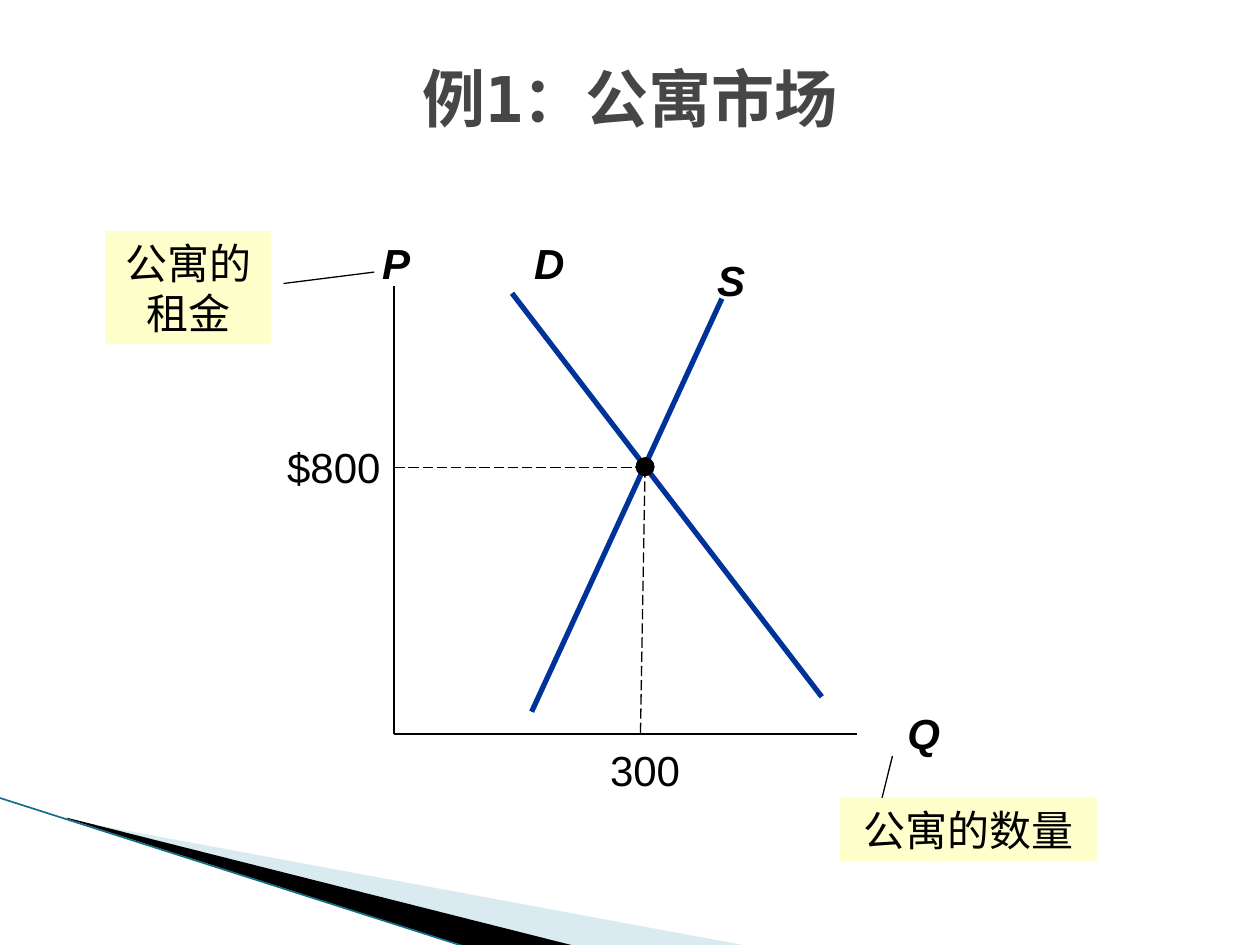
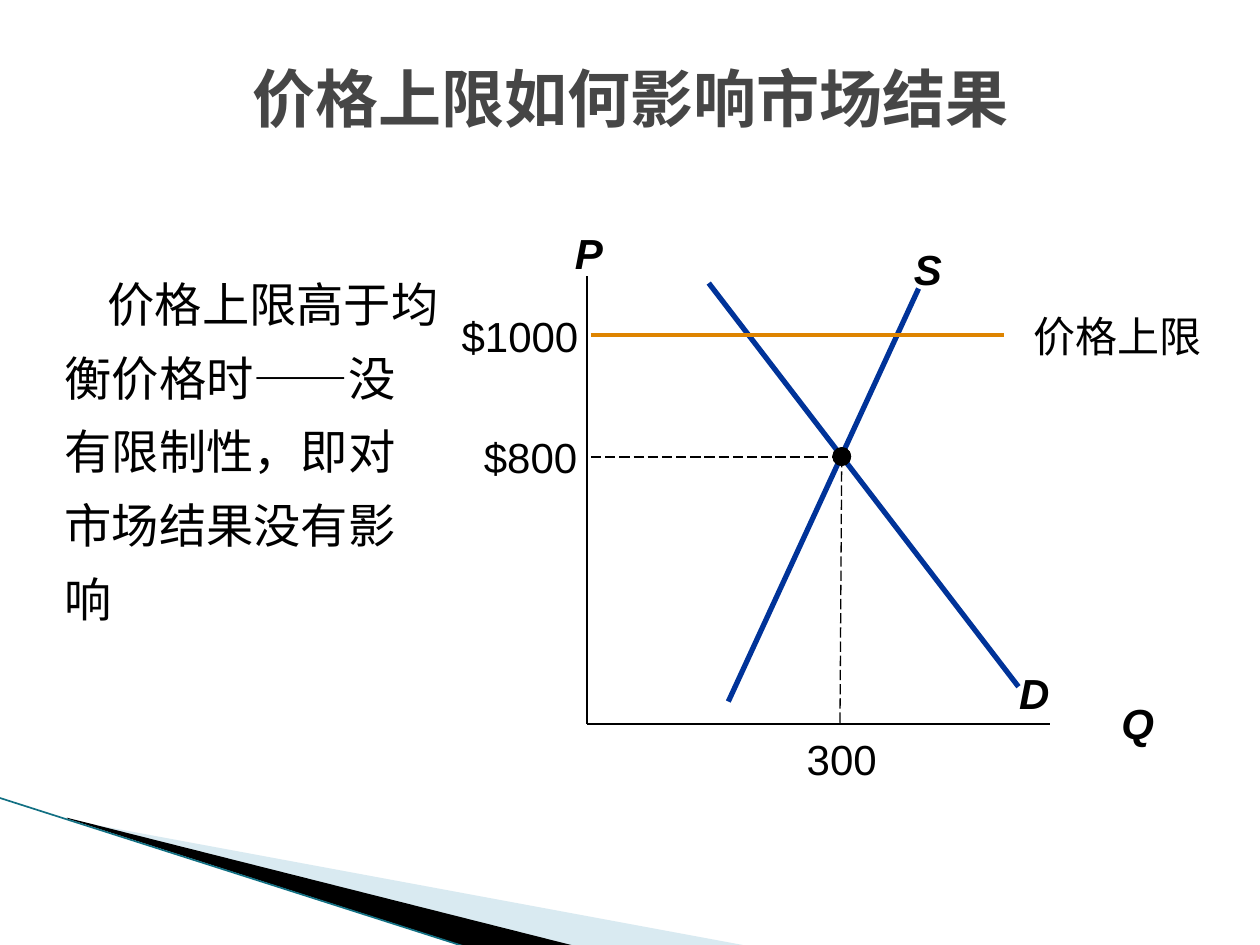
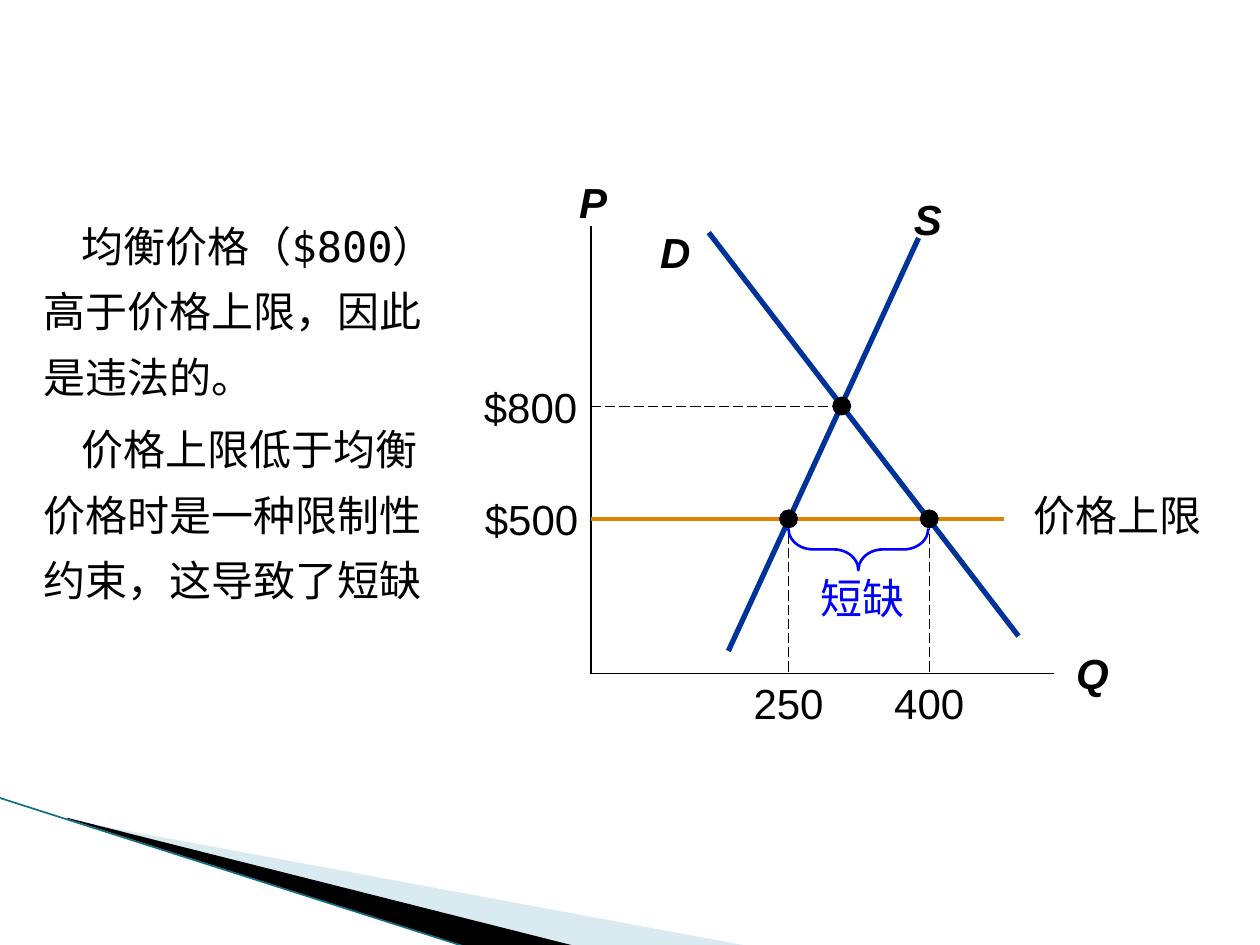
from dataclasses import dataclass

from lxml import etree
from pptx import Presentation
from pptx.dml.color import RGBColor
from pptx.enum import dml, lang, shapes, text
from pptx.oxml import ns
from pptx.util import Pt

# Shared look
BLACK = RGBColor(0x00, 0x00, 0x00)
TITLE_GREY = RGBColor(0x46, 0x46, 0x46)
CURVE_BLUE = RGBColor(0x00, 0x33, 0x99)
CEILING_ORANGE = RGBColor(0xDE, 0x84, 0x00)
SHORTAGE_BLUE = RGBColor(0x00, 0x00, 0xFF)
NOTE_YELLOW = RGBColor(0xFF, 0xFF, 0xCC)
BAND_BLUE = RGBColor(0xA0, 0xCB, 0xDC)
BAND_EDGE = RGBColor(0x12, 0x70, 0x83)
LABEL_FONT = "Arial"
TEXT_FONT = "DejaVu Sans Mono"

LEFT, CENTER, RIGHT = text.PP_ALIGN.LEFT, text.PP_ALIGN.CENTER, text.PP_ALIGN.RIGHT
TOP, MIDDLE = text.MSO_ANCHOR.TOP, text.MSO_ANCHOR.MIDDLE
DOT = 10.8
NUMBER_HEIGHT = 28.8
SYMBOL_HEIGHT = 36


@dataclass(frozen=True)
class Point:
    x: float
    y: float

    def shift(self, dx: float, dy: float) -> "Point":
        return Point(self.x + dx, self.y + dy)


@dataclass(frozen=True)
class Box:
    left: float
    top: float
    width: float
    height: float

    def lengths(self) -> tuple:
        return Pt(self.left), Pt(self.top), Pt(self.width), Pt(self.height)


@dataclass(frozen=True)
class Market:
    """A supply and demand diagram, laid out around its equilibrium."""
    equilibrium: Point
    axis_x: float
    quantity_gap: float
    demand_label: Point

    @property
    def origin(self) -> Point:
        return Point(self.axis_x, self.equilibrium.y + 152.6)

    @property
    def price_start(self) -> float:
        return self.equilibrium.x - 143.3


# Text
def write(frame, content: str, *, size: float = 24, font: str = LABEL_FONT,
          color: RGBColor = BLACK, bold: bool = False, italic: bool = False,
          align=CENTER, anchor=TOP, inset: bool = True, indent: float = 0,
          before: float = 0, spacing: float = 1.0) -> None:
    """Fill a text frame, one paragraph for each line of content."""
    frame.word_wrap = True
    frame.auto_size = text.MSO_AUTO_SIZE.NONE
    frame.vertical_anchor = anchor
    frame.margin_left = frame.margin_right = Pt(7.2 if inset else 0)
    frame.margin_top = frame.margin_bottom = Pt(3.6 if inset else 0)
    for number, line_text in enumerate(content.split("\n")):
        paragraph = frame.add_paragraph() if number else frame.paragraphs[0]
        paragraph.alignment = align
        paragraph.space_before = Pt(before)
        paragraph.line_spacing = spacing
        properties = paragraph._p.get_or_add_pPr()
        properties.set("marL", "0")
        properties.set("indent", str(int(Pt(indent))))
        etree.SubElement(properties, ns.qn("a:buNone"))
        run = paragraph.add_run()
        run.text = line_text
        run.font.name, run.font.size = font, Pt(size)
        run.font.bold, run.font.italic = bold, italic
        run.font.color.rgb = color
        run.font.language_id = lang.MSO_LANGUAGE_ID.SIMPLIFIED_CHINESE


def place(shape, box: Box) -> None:
    shape.left, shape.top, shape.width, shape.height = box.lengths()


def label(slide, content: str, box: Box, **style) -> None:
    write(slide.shapes.add_textbox(*box.lengths()).text_frame, content, **style)


def symbol(slide, letter: str, corner: Point, width: float) -> None:
    label(slide, letter, Box(corner.x, corner.y, width, SYMBOL_HEIGHT), bold=True, italic=True)


def title(slide, content: str) -> None:
    place(slide.shapes.title, Box(0, 30, 720, 51))
    write(slide.shapes.title.text_frame, content, size=36, font=TEXT_FONT,
          color=TITLE_GREY, bold=True, anchor=MIDDLE)


def body(slide, content: str, box: Box, size: float, indent: float) -> None:
    placeholder = slide.placeholders[1]
    place(placeholder, box)
    write(placeholder.text_frame, content, size=size, font=TEXT_FONT, align=LEFT,
          indent=indent, before=4, spacing=1.3)


# Lines and shapes
def line(slide, start: Point, end: Point, color: RGBColor = BLACK,
         width: float = 0.75, dashed: bool = False):
    connector = slide.shapes.add_connector(
        shapes.MSO_CONNECTOR.STRAIGHT, Pt(start.x), Pt(start.y), Pt(end.x), Pt(end.y))
    connector.line.color.rgb = color
    connector.line.width = Pt(width)
    if dashed:
        connector.line.dash_style = dml.MSO_LINE.LONG_DASH
    etree.SubElement(connector._element.spPr, ns.qn("a:effectLst"))
    return connector


def fill_plain(shape, color: RGBColor):
    shape.shadow.inherit = False
    shape.fill.solid()
    shape.fill.fore_color.rgb = color
    shape.line.fill.background()
    return shape


def solid(slide, preset, box: Box, color: RGBColor):
    return fill_plain(slide.shapes.add_shape(preset, *box.lengths()), color)


def dot(slide, center: Point) -> None:
    corner = center.shift(-DOT / 2, -DOT / 2)
    solid(slide, shapes.MSO_SHAPE.OVAL, Box(corner.x, corner.y, DOT, DOT), BLACK)


def note(slide, content: str, box: Box, start: Point, end: Point) -> None:
    """A yellow note with a line to the symbol that it explains."""
    line(slide, start, end)
    write(solid(slide, shapes.MSO_SHAPE.RECTANGLE, box, NOTE_YELLOW).text_frame, content)


def wedge(slide, corners: list[tuple[float, float]], color: RGBColor):
    builder = slide.shapes.build_freeform(Pt(corners[0][0]), Pt(corners[0][1]), 1.0)
    builder.add_line_segments([(Pt(x), Pt(y)) for x, y in corners[1:]])
    return fill_plain(builder.convert_to_shape(), color)


def move_band_to_master(slide, master) -> None:
    """Draw the corner band and keep it on the master for all slides."""
    pale = wedge(slide, [(39.6, 468.6), (428.4, 540.7), (328.3, 540.7), (39.6, 468)], BAND_BLUE)
    tint = pale._element.spPr.find(".//" + ns.qn("a:srgbClr"))
    etree.SubElement(tint, ns.qn("a:alpha"), val="40000")
    dark = wedge(slide, [(38.2, 467.3), (329, 540.7), (267.8, 541.4), (38.9, 468)], BLACK)
    edge = line(slide, Point(-0.7, 455.8), Point(267.1, 541.4), BAND_EDGE, 0.95)
    for depth, part in enumerate((pale, dark, edge)):
        master.shapes.element.insert(2 + depth, part._element)


# Diagram parts
def price_label(slide, content: str, right: float, y: float) -> None:
    label(slide, content, Box(right - 73.4, y - 14.5, 73.4, NUMBER_HEIGHT),
          align=RIGHT, inset=False)


def quantity_label(slide, content: str, x: float, top: float) -> None:
    label(slide, content, Box(x - 34.6, top, 69.2, NUMBER_HEIGHT), inset=False)


def draw_market(slide, market: Market) -> None:
    middle, origin = market.equilibrium, market.origin
    line(slide, origin.shift(0, -256), origin, width=1)
    line(slide, origin, origin.shift(264.4, 0), width=1)
    symbol(slide, "P", origin.shift(-15.3, -287.6), 33)
    symbol(slide, "Q", origin.shift(market.quantity_gap, -18.6), 36)
    line(slide, middle.shift(-76, -99.4), middle.shift(101, 131.2), CURVE_BLUE, 3)
    symbol(slide, "D", market.demand_label, 40)
    line(slide, middle.shift(-64.8, 139.7), middle.shift(43.9, -96.3), CURVE_BLUE, 3)
    symbol(slide, "S", middle.shift(29.2, -125.3), 40)
    line(slide, Point(market.price_start, middle.y), middle, dashed=True)
    dot(slide, middle.shift(0, -0.3))
    price_label(slide, "$800", market.price_start - 7.8, middle.y)


def draw_quantity(slide, market: Market, content: str, start: Point,
                  lean: float, gap: float) -> None:
    """Drop a dashed line from a point to the quantity axis."""
    line(slide, start, Point(start.x + lean, market.origin.y), dashed=True)
    dot(slide, start.shift(0, -0.3))
    quantity_label(slide, content, start.x, market.origin.y + gap)


def draw_ceiling(slide, market: Market, content: str, y: float, rise: float) -> None:
    start = Point(market.price_start, y)
    line(slide, start, start.shift(236, 0), CEILING_ORANGE, 2.25)
    label(slide, "价格上限", Box(569.7, y - rise, 138, 36.7))
    price_label(slide, content, market.price_start - 7.2, y)


deck = Presentation()
deck.slide_width, deck.slide_height = Pt(720), Pt(540)
TITLE_AND_BODY, TITLE_ONLY = deck.slide_layouts[1], deck.slide_layouts[5]

# Slide 1: the apartment market
apartments = deck.slides.add_slide(TITLE_ONLY)
move_band_to_master(apartments, deck.slide_master)
title(apartments, "例1：公寓市场")
rent_market = Market(Point(368.6, 267), 225.2, 284.6, Point(293.8, 132))
draw_market(apartments, rent_market)
draw_quantity(apartments, rent_market, "300", rent_market.equilibrium, -2.6, 5.8)
note(apartments, "公寓的租金", Box(60, 132, 95, 64.6), Point(162, 162), Point(213.8, 155.5))
note(apartments, "公寓的数量", Box(480, 456, 147, 36), Point(504, 456), Point(510, 432))

# Slide 2: a ceiling above the equilibrium price
loose = deck.slides.add_slide(TITLE_AND_BODY)
title(loose, "价格上限如何影响市场结果")
body(loose, "价格上限高于均衡价格时——没有限制性，即对市场结果没有影响",
     Box(29.8, 143.8, 228.5, 250.6), 27, 24.5)
loose_market = Market(Point(481, 261.2), 335.4, 296.8, Point(571, 378))
draw_market(loose, loose_market)
draw_quantity(loose, loose_market, "300", loose_market.equilibrium, -1, 5.6)
draw_ceiling(loose, loose_market, "$1000", 191.7, 17.6)

# Slide 3: a ceiling below the equilibrium price
binding = deck.slides.add_slide(TITLE_AND_BODY)
heading = binding.shapes.title.element
heading.getparent().remove(heading)
body(binding, "均衡价格（$800） 高于价格上限，因此是违法的。\n"
     "价格上限低于均衡价格时是一种限制性约束，这导致了短缺",
     Box(17.7, 113.6, 240, 321), 24, 21.7)
binding_market = Market(Point(481, 232.3), 337.7, 268.6, Point(365.8, 126))
draw_market(binding, binding_market)
CEILING_Y = 296.8
draw_ceiling(binding, binding_market, "$500", CEILING_Y, 20.6)
for amount, quantity_x in (("250", 450.6), ("400", 531)):
    draw_quantity(binding, binding_market, amount, Point(quantity_x, CEILING_Y), 0, 2.3)

# Shortage between the two quantities
brace = binding.shapes.add_shape(shapes.MSO_SHAPE.LEFT_BRACE,
                                 *Box(478.6, 274, 23.8, 79.9).lengths())
brace.rotation = 270
brace.adjustments[0], brace.adjustments[1] = 0.59, 0.5
brace.shadow.inherit = False
brace.fill.background()
brace.line.color.rgb = SHORTAGE_BLUE
brace.line.width = Pt(1.5)
label(binding, "短缺", Box(444.2, 327.4, 97.2, NUMBER_HEIGHT), color=SHORTAGE_BLUE, inset=False)

deck.save("out.pptx")
